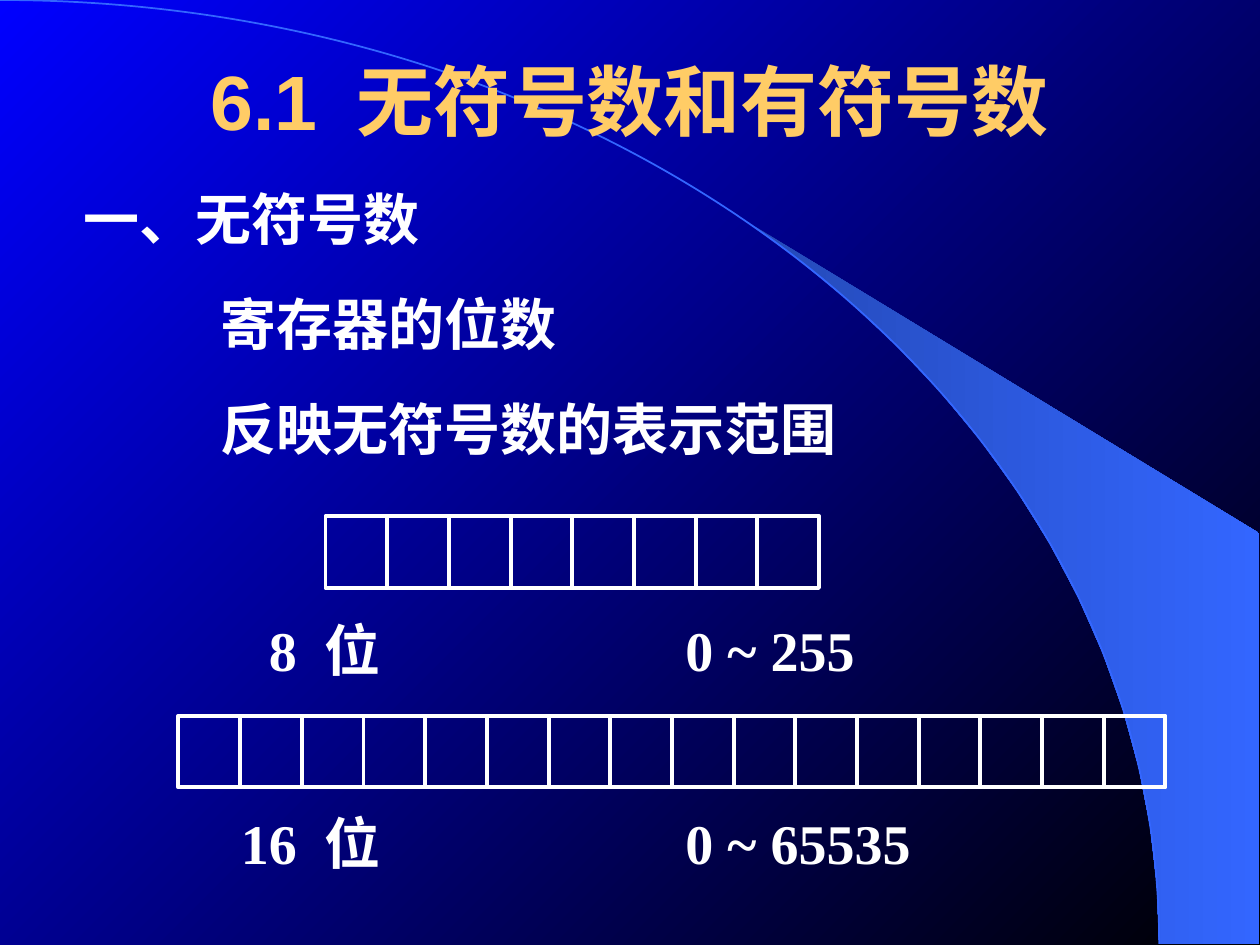
from dataclasses import dataclass
from math import sin, cos, radians
from lxml.etree import SubElement
from pptx import Presentation
from pptx.dml.color import RGBColor
from pptx.enum.shapes import MSO_CONNECTOR, MSO_SHAPE
from pptx.enum.text import MSO_ANCHOR, MSO_AUTO_SIZE, PP_ALIGN
from pptx.oxml.ns import qn
from pptx.util import Pt


@dataclass(frozen=True)
class Theme:
    bg_start: str = "0000FF"
    bg_end: str = "000000"
    sweep_start: str = "2449B6"
    accent: str = "3366FF"
    title: str = "FFCC66"
    text: str = "FFFFFF"
    title_size: int = 44
    text_size: int = 32
    title_font: str = "Arial"
    text_font: str = "Times New Roman"


T = Theme()
rgb = RGBColor.from_string


def write(p, text, font=T.text_font, size=T.text_size, color=T.text, bold=True):
    r = p.add_run()
    r.text = text
    r.font.name, r.font.size, r.font.bold = font, Pt(size), bold
    r.font.color.rgb = rgb(color)


def blend(fill, start, end, angle):
    fill.gradient()
    fill.gradient_angle = angle
    for stop, color in zip(fill.gradient_stops, (start, end)):
        stop.color.rgb = rgb(color)


def stroke(line, color, width):
    line.color.rgb = rgb(color)
    line.width = Pt(width)


def arc(x, y, w, h, start, steps):
    angles = [radians(start + (90 - start) * i / steps) for i in range(steps + 1)]
    return [(x + w * sin(a), y + h * (1 - cos(a))) for a in angles]


def outline(shapes, points, close):
    points = [(Pt(x), Pt(y)) for x, y in points]
    fb = shapes.build_freeform(*points[0], scale=1.0)
    fb.add_line_segments(points[1:], close=close)
    sp = fb.convert_to_shape()
    sp.shadow.inherit = False
    return sp


def quarter_curve(shapes, x, y, w, h):
    k = 0.5523
    sp = outline(shapes, [(x, y), (x + k * w, y), (x + w, y + h * (1 - k)), (x + w, y + h)], False)
    segments = list(sp.element.iter(qn("a:lnTo")))
    curve = SubElement(segments[0].getparent(), qn("a:cubicBezTo"))
    for segment in segments:
        curve.append(segment[0])
        segment.getparent().remove(segment)
    sp.fill.background()
    stroke(sp.line, T.accent, 1)


def backdrop(s, x, y, w, h):
    blend(s.background.fill, T.bg_start, T.bg_end, 315)
    group = s.shapes.add_group_shape()
    radius = w * 0.92
    edge = [(x + w - 0.7, y + h), (x + w - 0.7, y + 304.6)]
    sweep = outline(group.shapes, arc(x, y, radius, h, 39.8, 14) + edge, True)
    blend(sweep.fill, T.sweep_start, T.accent, 0)
    sweep.line.fill.background()
    quarter_curve(group.shapes, x, y, radius, h)
    s.shapes.element.insert(2, group.element)


def place(sp, x, y, w, h):
    sp.left, sp.top, sp.width, sp.height = Pt(x), Pt(y), Pt(w), Pt(h)
    tf = sp.text_frame
    tf.word_wrap = True
    tf.auto_size = MSO_AUTO_SIZE.NONE
    return tf


def title(s, text, x, y, w, h):
    tf = place(s.shapes.title, x, y, w, h)
    tf.vertical_anchor = MSO_ANCHOR.MIDDLE
    p = tf.paragraphs[0]
    p.alignment = PP_ALIGN.CENTER
    write(p, text, font=T.title_font, size=T.title_size, color=T.title)


def outline_list(s, items, x, y, w, h):
    tf = place(s.placeholders[1], x, y, w, h)
    tf.margin_top = tf.margin_bottom = 0
    tf.vertical_anchor = MSO_ANCHOR.TOP
    for i, (level, text) in enumerate(items):
        p = tf.add_paragraph() if i else tf.paragraphs[0]
        p.level = level
        p.line_spacing = Pt(h / len(items))
        p.space_before = p.space_after = Pt(0)
        pPr = p._p.get_or_add_pPr()
        pPr.set("marL", str(Pt(78 * level)))
        pPr.set("indent", "0")
        SubElement(pPr, qn("a:buNone"))
        write(p, text)


def rule(shapes, x1, y1, x2, y2):
    line = shapes.add_connector(MSO_CONNECTOR.STRAIGHT, Pt(x1), Pt(y1), Pt(x2), Pt(y2))
    stroke(line.line, T.text, 2.25)
    SubElement(line.element.spPr, qn("a:effectLst"))


def byte(shapes, dividers, x, y, w, h):
    cell = w / 8
    for i in range(8):
        sp = shapes.add_shape(MSO_SHAPE.RECTANGLE, Pt(x + i * cell), Pt(y), Pt(cell), Pt(h))
        sp.shadow.inherit = False
        sp.fill.background()
        stroke(sp.line, T.text, 2.25)
    for edge in (y, y + h):
        rule(shapes, x, edge, x + w, edge)
    for i in dividers:
        rule(shapes, x + i * cell, y, x + i * cell, y + h)


def register(s, byte_dividers, x, y, w, h):
    shapes = s.shapes.add_group_shape().shapes
    width = w / len(byte_dividers)
    for i, dividers in enumerate(byte_dividers):
        byte(shapes, dividers, x + i * width, y, width, h)


def caption(s, bits, x, y, w, h):
    tf = place(s.shapes.add_textbox(0, 0, 0, 0), x, y, w, h)
    p = tf.paragraphs[0]
    tabs = SubElement(p._p.get_or_add_pPr(), qn("a:tabLst"))
    for pos, algn in ((44, "r"), (60, "l"), (266, "l")):
        SubElement(tabs, qn("a:tab"), pos=str(Pt(pos)), algn=algn)
    write(p, f"\t{bits}\t位\t0 ~ {2 ** bits - 1}")


def main():
    prs = Presentation()
    prs.slide_width, prs.slide_height = Pt(720), Pt(540)
    s = prs.slides.add_slide(prs.slide_layouts[1])
    backdrop(s, 0, 0, 720, 539.3)
    title(s, "6.1\u2002无符号数和有符号数", 54, 12, 612, 90)
    items = [(0, "一、无符号数"), (1, "寄存器的位数"), (1, "反映无符号数的表示范围")]
    outline_list(s, items, 40.7, 83.6, 498, 180)
    full, partial = (0, 1, 2, 3, 4, 6, 7, 8), (0, 2, 3, 4, 6)
    rows = (((full,), 186, 295, 348), ((partial, full), 102, 409, 458.5))
    for dividers, x, y, caption_y in rows:
        bits = 8 * len(dividers)
        register(s, dividers, x, y, bits * 35.25, 41)
        caption(s, bits, 118.6, caption_y, 480, 45)
    prs.save("out.pptx")


main()
